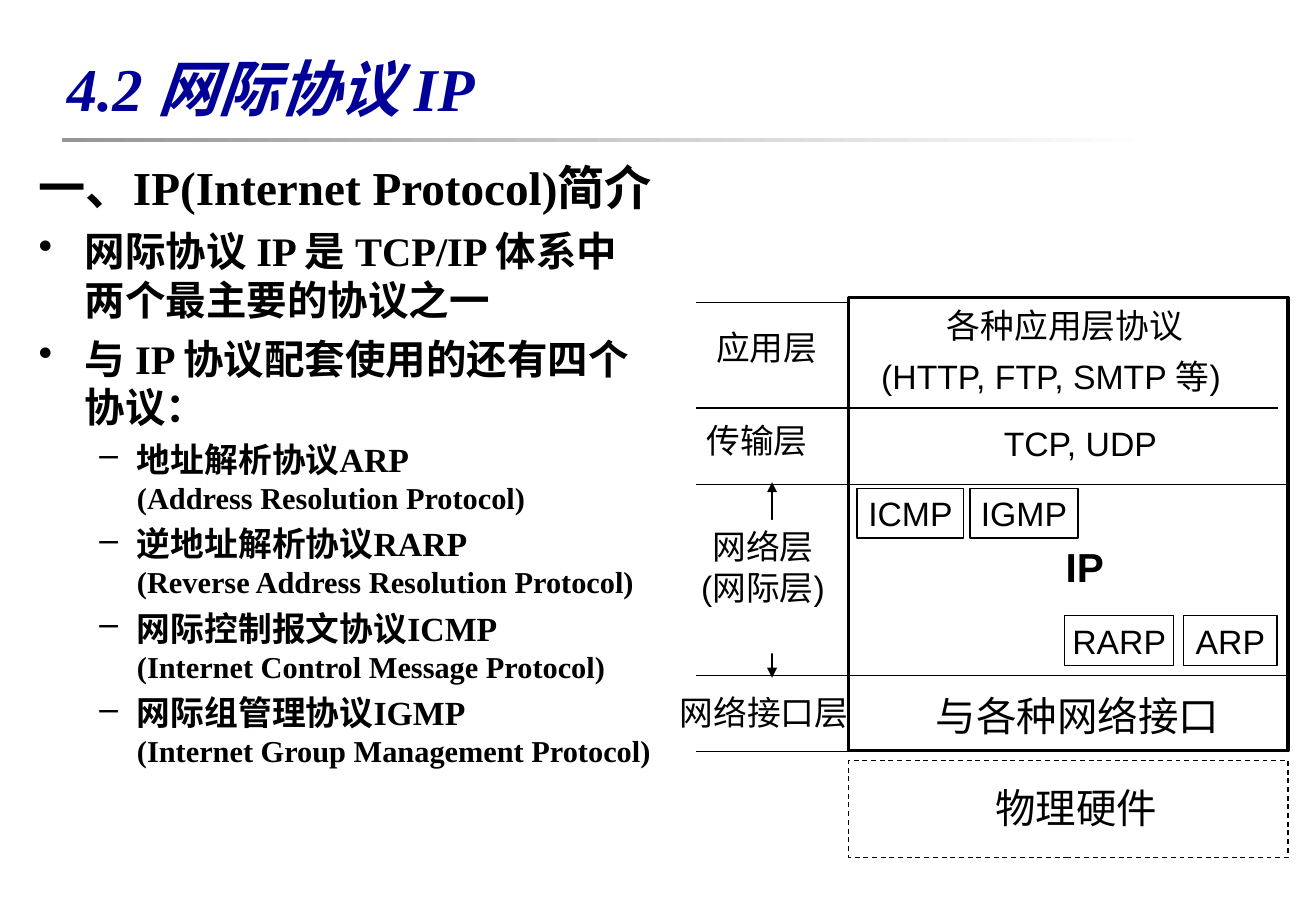
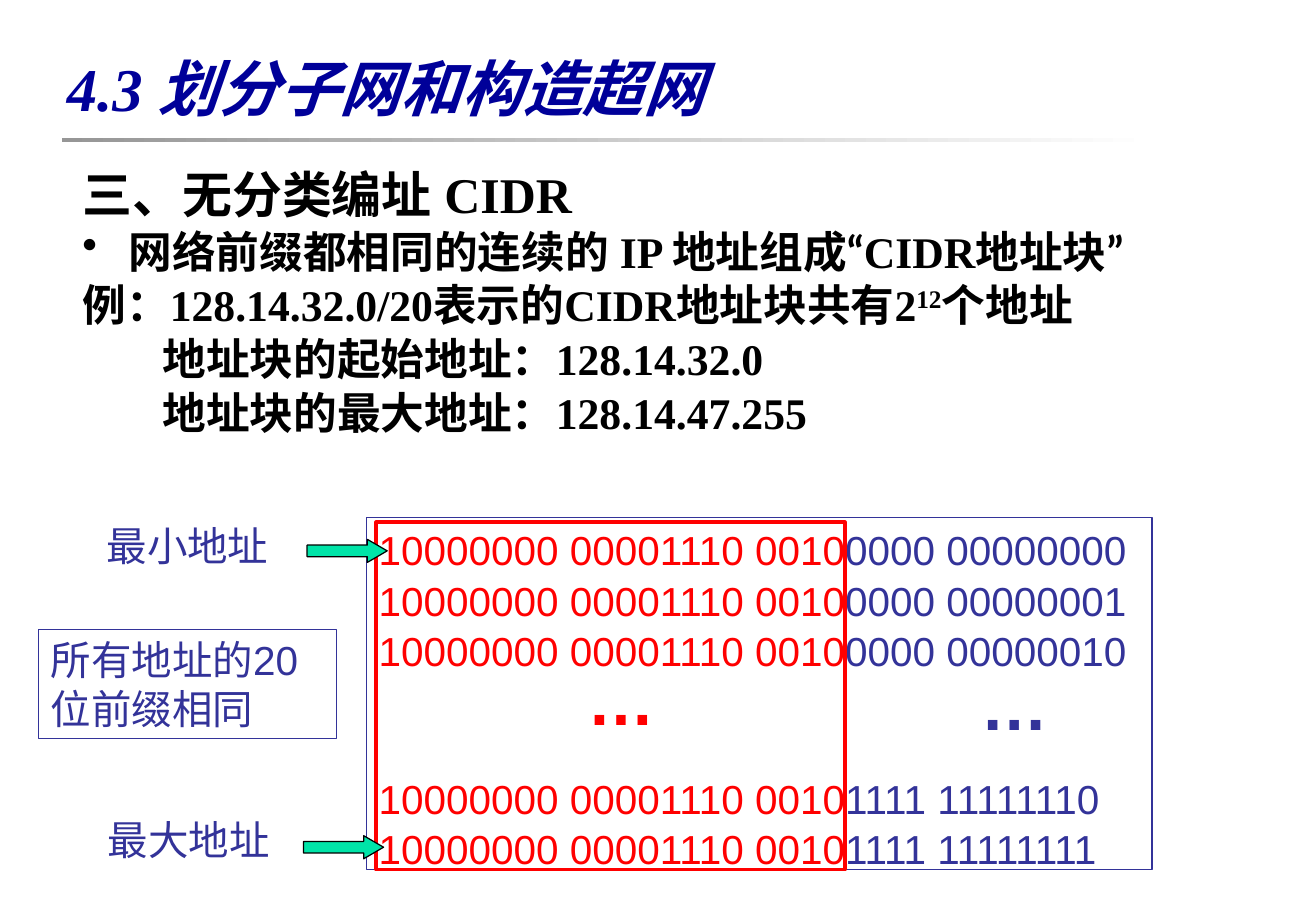
from dataclasses import dataclass
from typing import Optional

from lxml import etree
from pptx import Presentation
from pptx.dml.color import RGBColor
from pptx.enum.dml import MSO_LINE
from pptx.enum.shapes import MSO_CONNECTOR, MSO_SHAPE
from pptx.enum.text import MSO_ANCHOR, MSO_AUTO_SIZE, PP_ALIGN
from pptx.oxml.ns import qn
from pptx.util import Inches, Pt

BLACK = RGBColor(0x00, 0x00, 0x00)
WHITE = RGBColor(0xFF, 0xFF, 0xFF)
NAVY = RGBColor(0x00, 0x00, 0x99)
GREY = RGBColor(0x96, 0x96, 0x96)
INDIGO = RGBColor(0x33, 0x33, 0x99)
RED = RGBColor(0xFF, 0x00, 0x00)
GREEN = RGBColor(0x00, 0xE4, 0xA8)

SERIF, SANS, EAST_ASIAN = "Times New Roman", "Arial", "Lato"


@dataclass
class Para:
    """A paragraph; content is a string or a list of (text, format) spans."""
    content: object
    left: float = 0
    first: float = 0
    before: float = 0
    spacing: Optional[float] = None
    bullet: Optional[str] = None


def add_child(parent, tag, **attributes):
    return etree.SubElement(parent, qn(tag), attributes)


# Text
def set_font(span, size=20, font=SANS, color=BLACK, bold=False, italic=False,
             baseline=None):
    style = span.font
    style.name, style.size, style.bold, style.italic = font, Pt(size), bold, italic
    style.color.rgb = color
    properties = span._r.get_or_add_rPr()
    add_child(properties, "a:ea", typeface=EAST_ASIAN)
    if baseline:
        properties.set("baseline", str(baseline * 1000))


def write(box, paras, wrap=True, align=PP_ALIGN.LEFT, anchor=MSO_ANCHOR.TOP, **style):
    """Fill a box with a string or a list of Para, in one format."""
    frame = box.text_frame
    frame.auto_size = MSO_AUTO_SIZE.NONE
    frame.word_wrap, frame.vertical_anchor = wrap, anchor
    if isinstance(paras, str):
        paras = [Para(paras)]
    for index, item in enumerate(paras):
        para = frame.paragraphs[0] if index == 0 else frame.add_paragraph()
        para.alignment = align
        properties = para._p.get_or_add_pPr()
        properties.set("marL", str(Inches(item.left)))
        properties.set("indent", str(Inches(item.first)))
        if item.bullet:
            color = add_child(properties, "a:buClr")
            add_child(color, "a:srgbClr", val=str(BLACK))
            add_child(properties, "a:buChar", char=item.bullet)
        para.space_before = Pt(item.before)
        if item.spacing:
            para.line_spacing = item.spacing
        spans = item.content
        if isinstance(spans, str):
            spans = [(spans, {})]
        for text, changes in spans:
            if text == "\n":
                para.add_line_break()
                continue
            span = para.add_run()
            span.text = text
            set_font(span, **{**style, **changes})


def add_text(page, text, left, top, width, height, **style):
    box = page.shapes.add_textbox(*map(Inches, (left, top, width, height)))
    write(box, text, **style)
    return box


# Shapes
def add_shape(page, left, top, width, height, kind=MSO_SHAPE.RECTANGLE,
              fill=None, line=None, weight=0.75):
    shape = page.shapes.add_shape(kind, *map(Inches, (left, top, width, height)))
    shape.shadow.inherit = False
    if fill is None:
        shape.fill.background()
    else:
        shape.fill.solid()
        shape.fill.fore_color.rgb = fill
    if line is None:
        shape.line.fill.background()
    else:
        shape.line.color.rgb = line
        shape.line.width = Pt(weight)
    return shape


def add_line(page, x1, y1, x2, y2, arrows=False):
    line = page.shapes.add_connector(MSO_CONNECTOR.STRAIGHT,
                                     *map(Inches, (x1, y1, x2, y2)))
    line.line.color.rgb = BLACK
    line.line.width = Pt(0.75)
    if arrows:
        outline = line.line._get_or_add_ln()
        for end in ("a:headEnd", "a:tailEnd"):
            add_child(outline, end, type="triangle")
    add_child(line._element.spPr, "a:effectLst")


# Shared title and rule
def add_page(deck, title):
    page = deck.slides.add_slide(deck.slide_layouts[5])
    rule = add_shape(page, 0.51, 1.14, 9, 0.03)
    rule.fill.gradient()
    rule.fill.gradient_angle = 0
    for stop, color, position in zip(rule.fill.gradient_stops, (GREY, WHITE), (0, 1)):
        stop.color.rgb = color
        stop.position = position
    box = page.shapes.title
    box.left, box.top, box.width, box.height = map(Inches, (0.45, 0.28, 9.84, 0.87))
    write(box, title, anchor=MSO_ANCHOR.MIDDLE, size=36, font=SERIF, color=NAVY,
          bold=True, italic=True)
    return page


# Slide 1: protocol layers
def add_layer_diagram(page):
    left, right, label_left = 6.99, 10.61, 5.73
    add_shape(page, left, 2.45, right - left, 3.73, line=BLACK, weight=2.25)
    hardware = add_shape(page, left, 6.26, right - left, 0.8, fill=WHITE, line=BLACK)
    hardware.line.dash_style = MSO_LINE.DASH
    color = hardware._element.spPr.find(qn("a:solidFill"))[0]
    add_child(color, "a:alpha", val="49000")

    # Layer boundaries
    for y in (2.49, 3.36, 3.99, 5.56, 6.19):
        add_line(page, label_left, y, left, y)
    for y, end in ((3.36, 10.53), (3.99, right), (5.56, right)):
        add_line(page, left, y, end, y)

    # Layer names and contents
    for text, x, y, width, size, bold in (
            ("应用层", 5.8, 2.64, 1.03, 20, False),
            ("传输层", 5.72, 3.41, 1.03, 20, False),
            ("各种应用层协议", 7.7, 2.46, 2.15, 20, False),
            ("(HTTP, FTP, SMTP 等)", 7.16, 2.88, 3.21, 20, False),
            ("TCP, UDP", 8.17, 3.43, 1.5, 20, False),
            ("IP", 8.68, 4.41, 0.51, 24, True),
            ("与各种网络接口", 7.61, 5.64, 2.53, 24, False),
            ("物理硬件", 8.1, 6.4, 1.53, 24, False)):
        add_text(page, text, x, y, width, 0.5, wrap=False, size=size, bold=bold)
    add_text(page, [Para("网络接口层", spacing=0.75)], 5.5, 5.72, 1.65, 0.35)

    # Network layer span and its protocols
    add_line(page, 6.36, 3.97, 6.36, 5.58, arrows=True)
    network = add_shape(page, 5.65, 4.28, 1.27, 1.1, fill=WHITE)
    write(network, [Para("网络层"), Para("(网际层)")], align=PP_ALIGN.CENTER)
    for name, x, y, width in (("ICMP", 7.06, 4.02, 0.88), ("IGMP", 7.99, 4.02, 0.89),
                              ("RARP", 8.77, 5.07, 0.9), ("ARP", 9.75, 5.07, 0.77)):
        box = add_shape(page, x, y, width, 0.41, line=BLACK)
        write(box, name, wrap=False, align=PP_ALIGN.CENTER, anchor=MSO_ANCHOR.MIDDLE)


def build_ip_page(deck):
    page = add_page(deck, "4.2 网际协议 IP")
    paras = [Para([("一、IP(Internet Protocol)简介", {"size": 28})],
                  0.38, -0.38, spacing=0.9)]
    paras += [Para(text, 0.38, -0.38, before=6, bullet="•") for text in (
        "网际协议 IP 是 TCP/IP 体系中两个最主要的协议之一",
        "与 IP 协议配套使用的还有四个协议：")]
    paras += [Para([(name, {"size": 20}), ("\n", {}), (f"({meaning})", {"size": 18})],
                   0.81, -0.31, before=4.5, bullet="–") for name, meaning in (
        ("地址解析协议ARP", "Address Resolution Protocol"),
        ("逆地址解析协议RARP", "Reverse Address Resolution Protocol"),
        ("网际控制报文协议ICMP", "Internet Control Message Protocol"),
        ("网际组管理协议IGMP", "Internet Group Management Protocol"))]
    add_text(page, paras, 0.22, 1.31, 5.28, 5.75, size=24, font=SERIF, bold=True)
    add_layer_diagram(page)


# Slide 2: address block
def add_address_block(page):
    prefix = ("10000000 00001110 0010", {"color": RED})
    hosts = ("0000 00000000", "0000 00000001", "0000 00000010",
             "1111 11111110", "1111 11111111")
    gap_row = 3
    rows = [Para([prefix, (host, {})], spacing=1.04,
                 before=57.6 if index == gap_row else 0)
            for index, host in enumerate(hosts)]
    block = add_shape(page, 3.02, 4.26, 6.47, 2.9, line=INDIGO)
    write(block, rows, size=24, color=INDIGO)
    for x, y, color in ((7.98, 5.41, INDIGO), (4.74, 5.37, RED)):
        add_text(page, "…", x, y, 0.76, 0.77, wrap=False, size=40, color=color,
                 bold=True)
    add_shape(page, 3.1, 4.3, 3.86, 2.86, line=RED, weight=2.25)

    # Notes on the left
    note = add_shape(page, 0.32, 5.18, 2.45, 0.9, line=INDIGO)
    write(note, "所有地址的20位前缀相同", size=24, color=INDIGO)
    for text, x, y, arrow_x, arrow_y in (("最小地址", 0.78, 4.24, 2.53, 4.44),
                                         ("最大地址", 0.79, 6.66, 2.5, 6.88)):
        add_text(page, text, x, y, 1.53, 0.5, wrap=False, size=24, font=EAST_ASIAN,
                 color=INDIGO)
        arrow = add_shape(page, arrow_x, arrow_y, 0.66, 0.19, MSO_SHAPE.RIGHT_ARROW,
                          fill=GREEN, line=BLACK)
        arrow.adjustments[0], arrow.adjustments[1] = 0.5, 0.86


def build_cidr_page(deck):
    page = add_page(deck, "4.3 划分子网和构造超网")
    hanging = {"left": 0.38, "first": -0.38, "spacing": 0.8}
    paras = [
        Para([("三、无分类编址 CIDR", {"size": 29.6})], **hanging),
        Para("网络前缀都相同的连续的 IP 地址组成“CIDR地址块”", before=7, bullet="•",
             **hanging),
        Para([("例：128.14.32.0/20表示的CIDR地址块共有2", {}), ("12", {"baseline": 30}),
              ("个地址", {})], before=7, **hanging)]
    paras += [Para(text, left=0.66, before=7, spacing=0.8) for text in (
        "地址块的起始地址：128.14.32.0", "地址块的最大地址：128.14.47.255")]
    add_text(page, paras, 0.58, 1.39, 9.99, 2.69, size=25.9, font=SERIF, bold=True)
    add_address_block(page)


def main():
    deck = Presentation()
    deck.slide_width, deck.slide_height = Inches(10.84), Inches(7.5)
    build_ip_page(deck)
    build_cidr_page(deck)
    deck.save("out.pptx")


if __name__ == "__main__":
    main()
